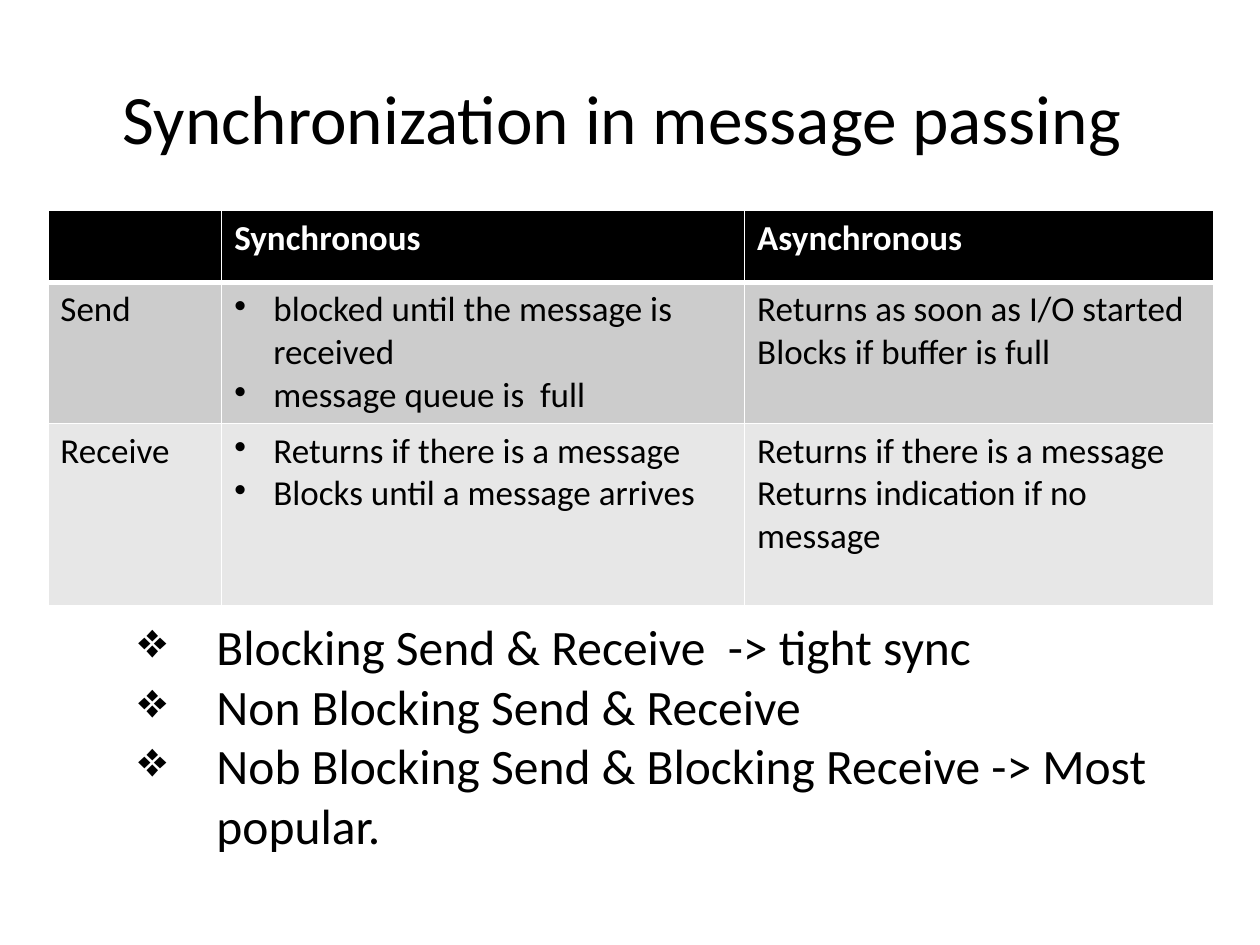
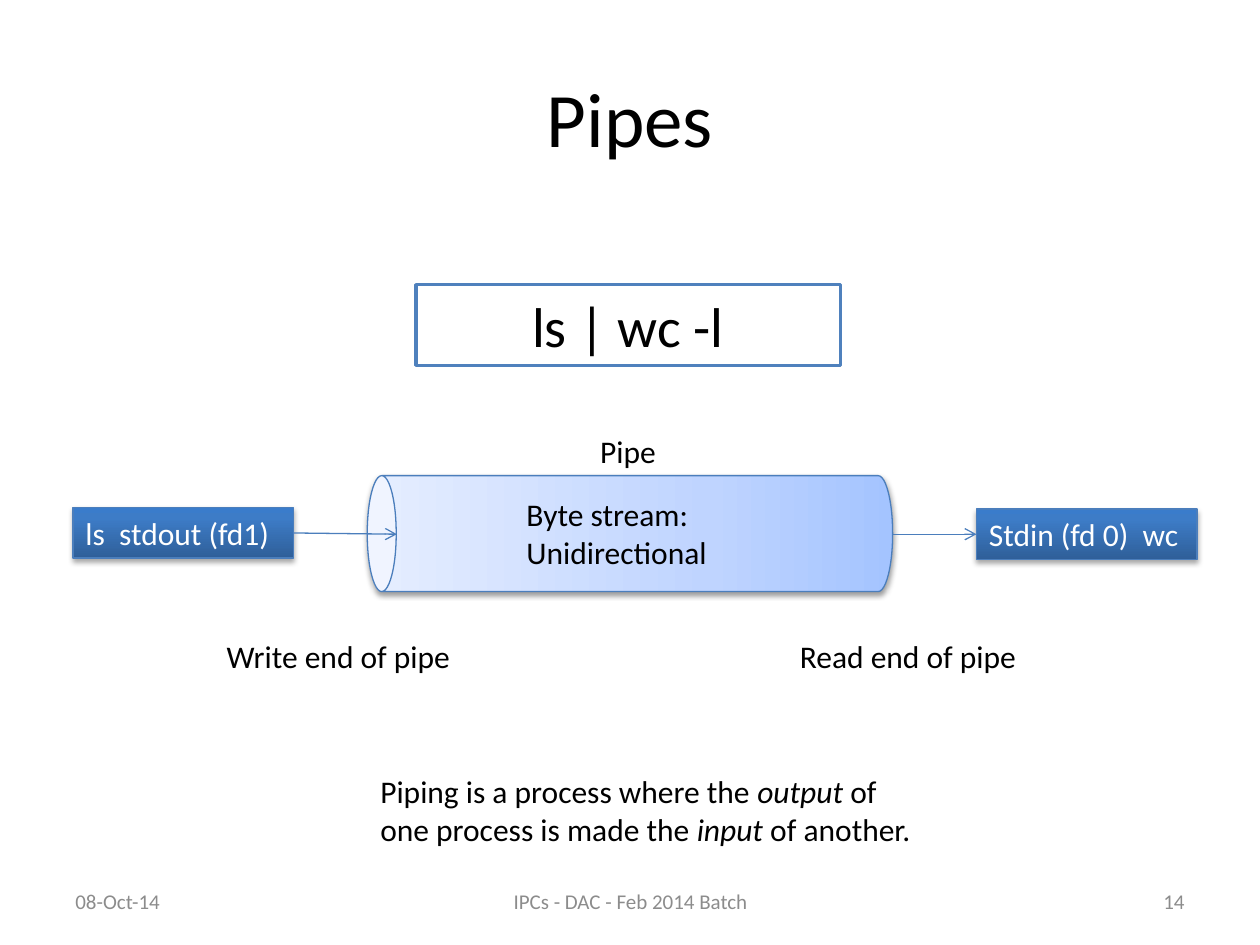
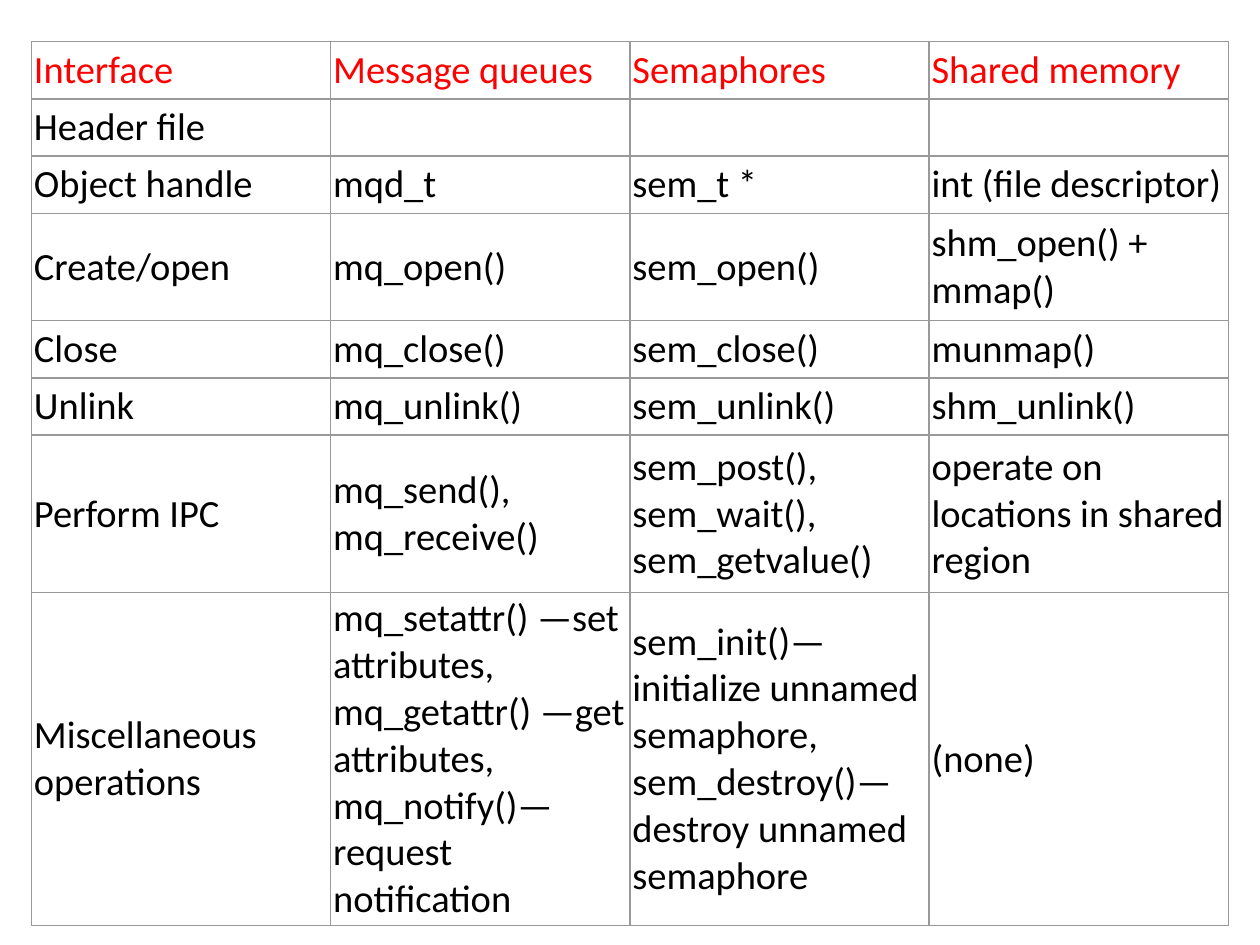
from lxml import etree
from pptx import Presentation
from pptx.dml.color import RGBColor
from pptx.enum.shapes import MSO_CONNECTOR, MSO_SHAPE
from pptx.enum.text import MSO_ANCHOR, PP_ALIGN
from pptx.oxml.ns import qn
from pptx.util import Inches, Pt

RECT, CAN, LINE = MSO_SHAPE.RECTANGLE, MSO_SHAPE.CAN, MSO_CONNECTOR.STRAIGHT
LEFT, MID, RIGHT = PP_ALIGN.LEFT, PP_ALIGN.CENTER, PP_ALIGN.RIGHT
TOP, CENTER = MSO_ANCHOR.TOP, MSO_ANCHOR.MIDDLE

BLACK = RGBColor(0x00, 0x00, 0x00)
WHITE = RGBColor(0xFF, 0xFF, 0xFF)
RED = RGBColor(0xFF, 0x00, 0x00)
GREY = RGBColor(0x8C, 0x8C, 0x8C)
RULE = RGBColor(0x99, 0x99, 0x99)
DARK = RGBColor(0xCC, 0xCC, 0xCC)
PALE = RGBColor(0xE7, 0xE7, 0xE7)
FRAME = RGBColor(0x4F, 0x81, 0xBD)
EDGE = RGBColor(0x4B, 0x7E, 0xBC)
# Gradient stops: share of the way, colour
STEEL = [(0, RGBColor(0x2F, 0x5F, 0x99)), (80, RGBColor(0x3D, 0x7C, 0xC7)),
         (100, RGBColor(0x3A, 0x7C, 0xCB))]
SKY = [(0, RGBColor(0xA4, 0xC4, 0xFF)), (35, RGBColor(0xBF, 0xD4, 0xFF)),
       (100, RGBColor(0xE6, 0xEE, 0xFF))]

FONT = "Calibri"
WIDE, HIGH = Inches(10), Inches(7.5)
COLS, ROWS = 10, 7.5  # the slide grid


def x(cols):
    return round(WIDE * cols / COLS)


def y(rows):
    return round(HIGH * rows / ROWS)


def place(left, top, wide, high):
    return x(left), y(top), x(wide), y(high)


def sub(parent, tag, **attrs):
    node = etree.SubElement(parent, qn(tag))
    for key, value in attrs.items():
        node.set(key, str(value))
    return node


# Text

def style(frame, size, color=BLACK, align=LEFT, bold=False):
    for para in frame.paragraphs:
        para.alignment = align
        for run in para.runs:
            font = run.font
            font.name, font.size, font.bold = FONT, Pt(size), bold
            font.color.rgb = color


def bullet(para, mark, left, hang):
    props = para._p.get_or_add_pPr()
    props.set("marL", str(x(left)))
    props.set("indent", str(-x(hang)))
    sub(props, "a:buChar", char=mark)


def label(slide, at, text, size=18, color=BLACK, align=LEFT, anchor=TOP):
    frame = slide.shapes.add_textbox(*place(*at)).text_frame
    frame.word_wrap = True
    frame.vertical_anchor = anchor
    frame.text = text
    style(frame, size, color, align)
    return frame


def title(slide, text, size):
    label(slide, (0.5, 0.3, 9, 1.25), text, size, align=MID, anchor=CENTER)


def footer(slide, date, name, number):
    for left, wide, text, align in ((0.5, 2.33, date, LEFT),
                                    (3.42, 3.17, name, MID),
                                    (7.17, 2.33, number, RIGHT)):
        label(slide, (left, 6.95, wide, 0.4), text, 12, GREY, align, CENTER)


# Shapes

def block(slide, kind, at, edge, width):
    shape = slide.shapes.add_shape(kind, *place(*at))
    shape.shadow.inherit = False
    shape.line.color.rgb = edge
    shape.line.width = Pt(width)
    shape.text_frame.vertical_anchor = CENTER
    return shape


def shade(shape, stops, drop, alpha):
    """Fill with an upward gradient and cast a soft shadow below."""
    shape.fill.gradient()
    shape.fill.gradient_angle = 90
    props = shape.element.spPr
    ramp = props.find(qn("a:gradFill")).find(qn("a:gsLst"))
    ramp.clear()
    for share, color in stops:
        stop = sub(ramp, "a:gs", pos=share * 1000)
        sub(stop, "a:srgbClr", val=color)
    cast = sub(props.find(qn("a:effectLst")), "a:outerShdw", blurRad=Pt(3.1),
               dist=Pt(drop), dir=5400000, rotWithShape=0)
    sub(sub(cast, "a:srgbClr", val=BLACK), "a:alpha", val=alpha * 1000)


def process(slide, left, top, text):
    shape = block(slide, RECT, (left, top, 1.75, 0.4), EDGE, 0.75)
    shade(shape, STEEL, 1.8, 35)
    shape.text_frame.text = text
    style(shape.text_frame, 18, WHITE)
    return shape


def arrow(slide, start, end):
    line = slide.shapes.add_connector(LINE, x(start[0]), y(start[1]),
                                      x(end[0]), y(end[1]))
    line.line.color.rgb = EDGE
    line.line.width = Pt(0.75)
    sub(line.line._get_or_add_ln(), "a:tailEnd", type="arrow")
    sub(line.element.spPr, "a:effectLst")
    return line


# Tables

def grid(slide, left, top, cols, rows):
    at = place(left, top, sum(cols), sum(rows))
    table = slide.shapes.add_table(len(rows), len(cols), *at).table
    table.first_row = table.horz_banding = False
    for col, wide in zip(table.columns, cols):
        col.width = x(wide)
    for row, high in zip(table.rows, rows):
        row.height = y(high)
    return table


def border(cell, color, widths):
    """Draw the left, right, top and bottom edges, in that order."""
    props = cell._tc.get_or_add_tcPr()
    for spot, (side, width) in enumerate(zip("LRTB", widths)):
        line = sub(props, "a:ln" + side, w=Pt(width))
        sub(sub(line, "a:solidFill"), "a:srgbClr", val=color)
        props.insert(spot, line)


# Slides

def sync(slide):
    table = grid(slide, 0.38, 1.67, [1.38, 4.15, 3.72], [0.57, 1.12, 1.45])
    cells = [
        ["", "Synchronous", "Asynchronous"],
        ["Send",
         "blocked until the message is received\nmessage queue is  full",
         "Returns as soon as I/O started\nBlocks if buffer is full"],
        ["Receive",
         "Returns if there is a message\nBlocks until a message arrives",
         "Returns if there is a message\nReturns indication if no message"]]
    looks = [(BLACK, WHITE, (1, 1, 1, 3)), (DARK, BLACK, (1, 1, 3, 1)),
             (PALE, BLACK, (1, 1, 1, 1))]
    for r, (texts, (fill, ink, edges)) in enumerate(zip(cells, looks)):
        for c, text in enumerate(texts):
            cell = table.cell(r, c)
            cell.fill.solid()
            cell.fill.fore_color.rgb = fill
            border(cell, WHITE, edges)
            if not text:
                continue
            cell.text_frame.text = text
            if r and c == 1:
                for para in cell.text_frame.paragraphs:
                    bullet(para, "•", 0.31, 0.31)
            style(cell.text_frame, 20, ink, bold=r == 0)

    points = label(slide, (0.5, 4.5, 8.83, 2.67),
                   "Blocking Send & Receive  -> tight sync\n"
                   "Non Blocking Send & Receive\n"
                   "Nob Blocking Send & Blocking Receive -> Most popular.",
                   28.3, anchor=CENTER)
    for para in points.paragraphs:
        bullet(para, "❖", 1.12, 0.62)
    title(slide, "Synchronization in message passing ", 39.6)


def pipes(slide):
    title(slide, "Pipes", 44)
    shell = block(slide, RECT, (3.3, 2.26, 3.37, 0.64), FRAME, 2)
    shell.fill.solid()
    shell.fill.fore_color.rgb = WHITE
    shell.text_frame.text = "ls | wc -l"
    style(shell.text_frame, 32, align=MID)

    # The pipe between its two processes
    pipe = block(slide, CAN, (4.54, 2.15, 0.92, 4.17), EDGE, 0.75)
    pipe.rotation = 270
    shade(pipe, SKY, 1.6, 38)
    source = process(slide, 0.58, 4.03, "ls  stdout (fd1)")
    arrow(slide, (2.33, 4.23), (3.15, 4.24)).begin_connect(source, 3)
    label(slide, (4.4, 3.38, 1.17, 0.4), "Pipe", align=MID)
    label(slide, (4.08, 3.88, 2.08, 0.71), "Byte stream: Unidirectional")
    for left, text in ((1.7, "Write end of pipe"), (6.25, "Read end of pipe")):
        label(slide, (left, 5.01, 2.08, 0.4), text)
    sink = process(slide, 7.75, 4.04, "Stdin (fd 0)  wc")
    arrow(slide, (7.08, 4.24), (7.75, 4.24)).end_connect(sink, 1)

    # Definition, with every second part in italics
    frame = label(slide, (2.42, 6.08, 5, 0.71), "")
    para = frame.paragraphs[0]
    para._p.get_or_add_pPr().set("marL", str(x(0.5)))
    parts = ["Piping is a process where the ", "output",
             " of one process is made the ", "input", " of another."]
    for spot, text in enumerate(parts):
        run = para.add_run()
        run.text = text
        run.font.italic = spot % 2 == 1
    style(frame, 18)
    footer(slide, "08-Oct-14", "IPCs - DAC - Feb 2014 Batch", "14")


def calls(slide):
    cells = [
        ["Interface", "Message queues", "Semaphores", "Shared memory"],
        ["Header file", "", "", ""],
        ["Object handle", "mqd_t", "sem_t *", "int (file descriptor)"],
        ["Create/open", "mq_open()", "sem_open()", "shm_open() + mmap()"],
        ["Close", "mq_close()", "sem_close()", "munmap()"],
        ["Unlink", "mq_unlink()", "sem_unlink()", "shm_unlink()"],
        ["Perform IPC", "mq_send(), mq_receive()",
         "sem_post(), sem_wait(), sem_getvalue()",
         "operate on locations in shared region"],
        ["Miscellaneous operations",
         "mq_setattr() —set attributes, mq_getattr() —get attributes, "
         "mq_notify()—request notification",
         "sem_init()—initialize unnamed semaphore, "
         "sem_destroy()—destroy unnamed semaphore",
         "(none)"]]
    one = 0.455
    table = grid(slide, 0.25, 0.33, [9.5 / 4] * 4,
                 [one, one, one, 0.85, one, one, 1.25, 2.64])
    for r, texts in enumerate(cells):
        for c, text in enumerate(texts):
            cell = table.cell(r, c)
            cell.fill.background()
            border(cell, RULE, (1, 0.75 if c == 3 else 1,
                                1, 0.75 if r == 7 else 1))
            if not text:
                continue
            cell.vertical_anchor = CENTER
            cell.margin_left = cell.margin_right = x(0.02)
            cell.margin_top = cell.margin_bottom = y(0.02)
            cell.text_frame.text = text
            style(cell.text_frame, 22, BLACK if r else RED)


def main():
    deck = Presentation()
    deck.slide_width, deck.slide_height = WIDE, HIGH
    for build in (sync, pipes, calls):
        build(deck.slides.add_slide(deck.slide_layouts[6]))
    deck.save("out.pptx")


if __name__ == "__main__":
    main()
